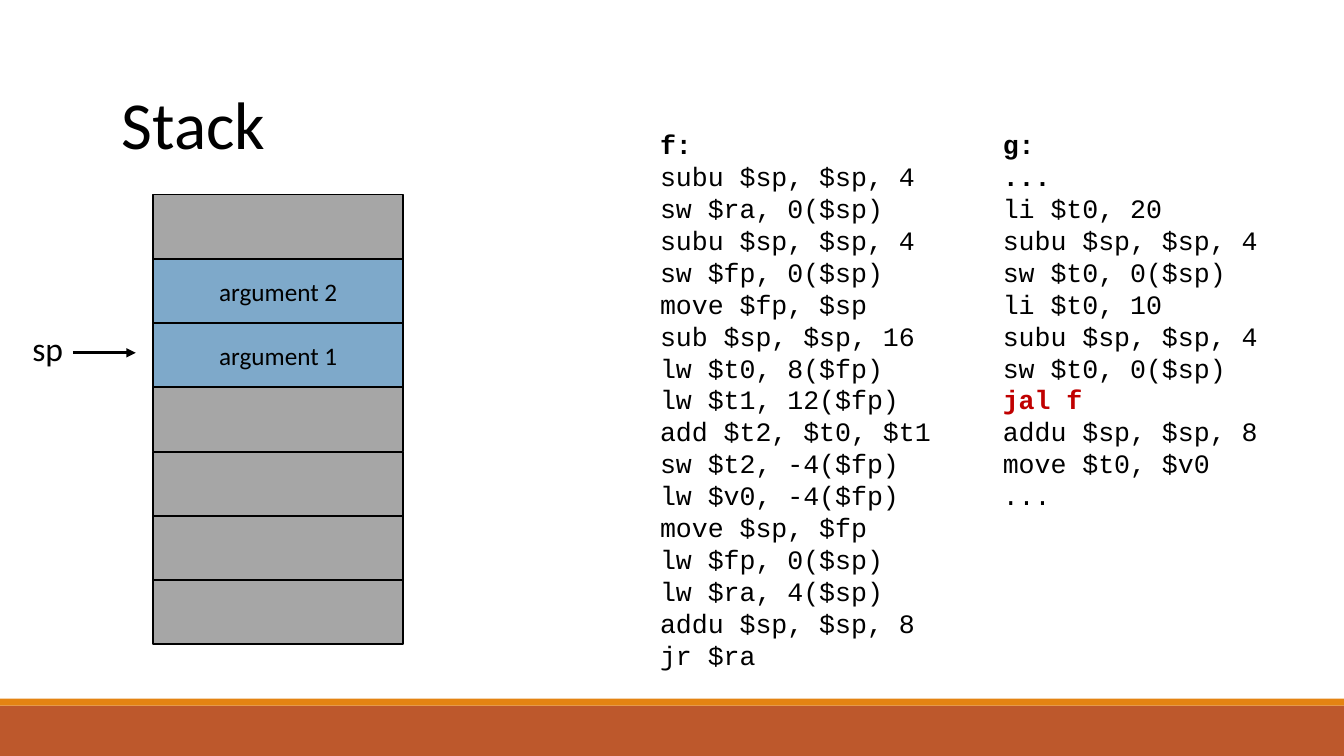
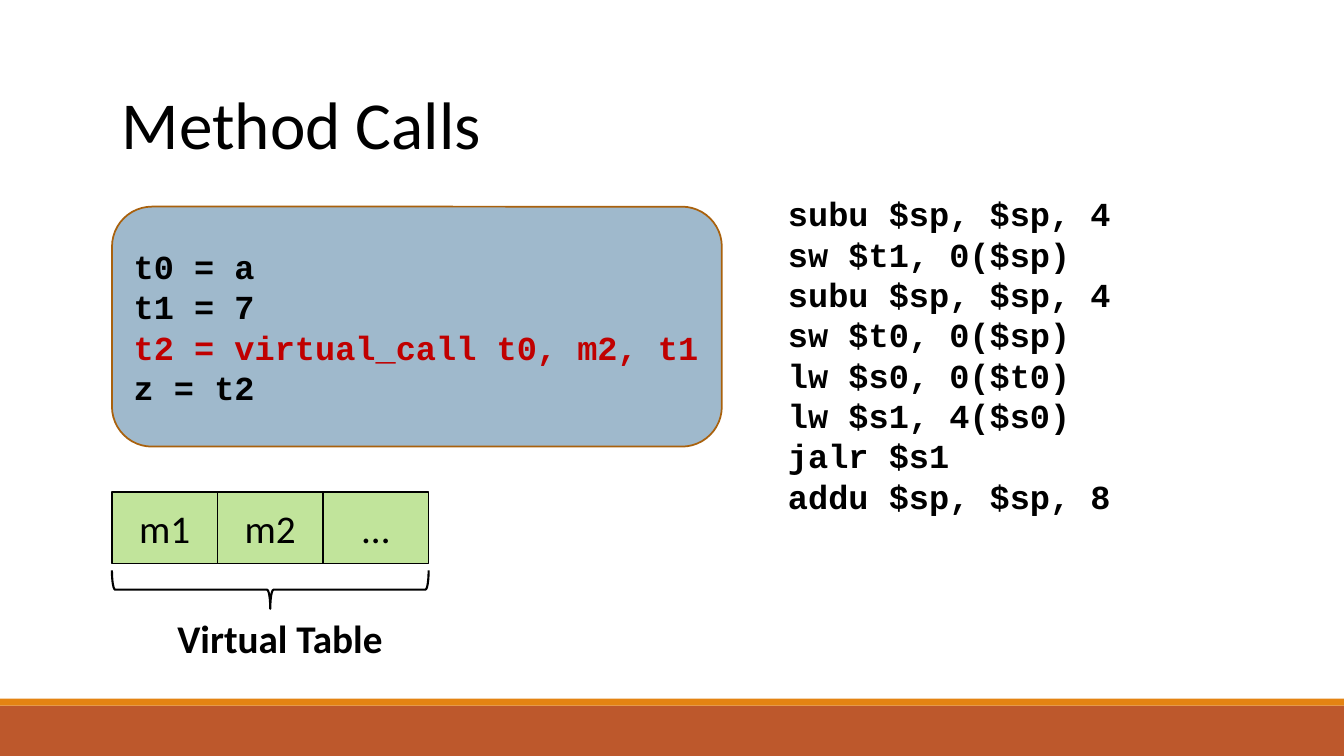
"""Build two slides on the call stack and on virtual method calls."""
from lxml.etree import SubElement
from pptx import Presentation
from pptx.dml.color import RGBColor
from pptx.enum.shapes import MSO_CONNECTOR, MSO_SHAPE
from pptx.enum.text import MSO_ANCHOR, PP_ALIGN
from pptx.oxml.ns import qn
from pptx.util import Pt

BLACK = RGBColor(0x00, 0x00, 0x00)
RED = RGBColor(0xC0, 0x00, 0x00)
RUST = RGBColor(0xBD, 0x58, 0x2C)
ORANGE = RGBColor(0xE4, 0x83, 0x12)
BROWN = RGBColor(0xA9, 0x61, 0x0D)
GREY = RGBColor(0xA6, 0xA6, 0xA6)
LIGHT_BLUE = RGBColor(0x7E, 0xA9, 0xCA)
STEEL_BLUE = RGBColor(0x40, 0x74, 0x9B)
GREEN = RGBColor(0x92, 0xD0, 0x50)

SANS = "Calibri"
MONO = "Courier New"
SLIDE_W, SLIDE_H = 960, 540
MARGIN = 80
CODE_LEADING = 1.2

STACK_CELLS = ["", "argument 2", "argument 1", "", "", "", ""]
VIRTUAL_TABLE = ["m1", "m2", "…"]

F_CODE = """f:
subu $sp, $sp, 4
sw $ra, 0($sp)
subu $sp, $sp, 4
sw $fp, 0($sp)
move $fp, $sp
sub $sp, $sp, 16
lw $t0, 8($fp)
lw $t1, 12($fp)
add $t2, $t0, $t1
sw $t2, -4($fp)
lw $v0, -4($fp)
move $sp, $fp
lw $fp, 0($sp)
lw $ra, 4($sp)
addu $sp, $sp, 8
jr $ra"""

G_CODE = """g:
...
li $t0, 20
subu $sp, $sp, 4
sw $t0, 0($sp)
li $t0, 10
subu $sp, $sp, 4
sw $t0, 0($sp)
jal f
addu $sp, $sp, 8
move $t0, $v0
..."""

THREE_ADDRESS_CODE = """t0 = a
t1 = 7
t2 = virtual_call t0, m2, t1
z = t2"""

CALL_CODE = """subu $sp, $sp, 4
sw $t1, 0($sp)
subu $sp, $sp, 4
sw $t0, 0($sp)
lw $s0, 0($t0)
lw $s1, 4($s0)
jalr $s1
addu $sp, $sp, 8"""


def write_text(tf, text, size, bold=False, align=PP_ALIGN.LEFT):
    """Fill a text frame with black sans-serif text."""
    tf.word_wrap = True
    tf.text = text
    for p in tf.paragraphs:
        p.alignment = align
        for r in p.runs:
            r.font.name, r.font.size, r.font.bold = SANS, Pt(size), bold
            r.font.color.rgb = BLACK


def write_code(tf, code, size, bold_lines=None, red_line=None):
    """Fill a text frame with code; without bold_lines every line is bold."""
    write_text(tf, code, size)
    for i, p in enumerate(tf.paragraphs):
        p.line_spacing = Pt(size * CODE_LEADING)
        for r in p.runs:
            r.font.name = MONO
            r.font.bold = bold_lines is None or i in bold_lines
            r.font.color.rgb = RED if i == red_line else BLACK


def add_box(s, left, top, width, height):
    """Add an empty text box and return its text frame."""
    return s.shapes.add_textbox(Pt(left), Pt(top), Pt(width), Pt(height)).text_frame


def add_shape(s, kind, left, top, width, height, fill=None, line=None,
              line_width=1.25, alpha=None):
    """Add a preset shape without shadow, its fill optionally transparent."""
    sp = s.shapes.add_shape(kind, Pt(left), Pt(top), Pt(width), Pt(height))
    sp.shadow.inherit = False
    if fill is None:
        sp.fill.background()
    else:
        sp.fill.solid()
        sp.fill.fore_color.rgb = fill
    if alpha is not None:
        color = sp.fill._xPr.find(qn("a:solidFill"))[0]
        SubElement(color, qn("a:alpha")).set("val", str(alpha * 1000))
    if line is None:
        sp.line.fill.background()
    else:
        sp.line.color.rgb = line
        sp.line.width = Pt(line_width)
    sp.text_frame.vertical_anchor = MSO_ANCHOR.MIDDLE
    return sp


def add_cell(s, text, left, top, width, height, size, fill, alpha=None):
    """Add an outlined rectangle with a centred label."""
    sp = add_shape(s, MSO_SHAPE.RECTANGLE, left, top, width, height, fill, BLACK, alpha=alpha)
    if text:
        write_text(sp.text_frame, text, size, align=PP_ALIGN.CENTER)


def add_arrow(s, x1, y1, x2, y2):
    """Add a straight black arrow."""
    c = s.shapes.add_connector(MSO_CONNECTOR.STRAIGHT, Pt(x1), Pt(y1), Pt(x2), Pt(y2))
    c.line.color.rgb = BLACK
    c.line.width = Pt(2.25)
    SubElement(c.line._get_or_add_ln(), qn("a:tailEnd")).set("type", "triangle")
    SubElement(c._element.spPr, qn("a:effectLst"))


def add_slide(prs, title):
    """Add a blank slide with the footer bands and a title."""
    s = prs.slides.add_slide(prs.slide_layouts[6])
    add_shape(s, MSO_SHAPE.RECTANGLE, 0, 504, SLIDE_W, 36, RUST)
    add_shape(s, MSO_SHAPE.RECTANGLE, 0, 499, SLIDE_W, 5, ORANGE)
    write_text(add_box(s, MARGIN, 55, 798, 65), title, 48)
    return s


def build_stack(prs):
    """Show the stack at the moment g calls f."""
    s = add_slide(prs, "Stack")
    write_code(add_box(s, 464.4, 88, 234, 399), F_CODE, 19, bold_lines=[0])
    write_code(add_box(s, 709.2, 88, 234, 284), G_CODE, 19, bold_lines=[0, 1, 8], red_line=8)
    cell_h = 45.9
    for i, text in enumerate(STACK_CELLS):
        fill = LIGHT_BLUE if text else GREY
        add_cell(s, text, 109.4, 139 + i * cell_h, 178.6, cell_h, 18, fill)
    write_text(add_box(s, 16, 231, 41, 36), "sp", 24)
    add_arrow(s, 52, 252, 97, 252)


def build_method_calls(prs):
    """Show a virtual call, its method table and the generated code."""
    s = add_slide(prs, "Method Calls")
    panel = add_shape(s, MSO_SHAPE.ROUNDED_RECTANGLE, MARGIN, 147.6, 435.6, 171.4,
                      STEEL_BLUE, BROWN, alpha=50)
    write_code(panel.text_frame, THREE_ADDRESS_CODE, 24, red_line=2)

    cell_w = 75.4
    table_w = cell_w * len(VIRTUAL_TABLE)
    for i, text in enumerate(VIRTUAL_TABLE):
        add_cell(s, text, MARGIN + i * cell_w, 351.4, cell_w, 51.2, 28, GREEN, alpha=57)
    write_text(add_box(s, 119.6, 435, 206, 41), "Virtual Table", 28, bold=True)

    brace_h, brace_mid = 27.4, 421.2
    brace = add_shape(s, MSO_SHAPE.LEFT_BRACE, MARGIN + (table_w - brace_h) / 2,
                      brace_mid - table_w / 2, brace_h, table_w, line=BLACK, line_width=1.5)
    brace.rotation = 270
    write_code(add_box(s, 555.8, 134.6, 310, 269), CALL_CODE, 24)


def main():
    """Build and save the presentation."""
    prs = Presentation()
    prs.slide_width, prs.slide_height = Pt(SLIDE_W), Pt(SLIDE_H)
    build_stack(prs)
    build_method_calls(prs)
    prs.save("out.pptx")


if __name__ == "__main__":
    main()
